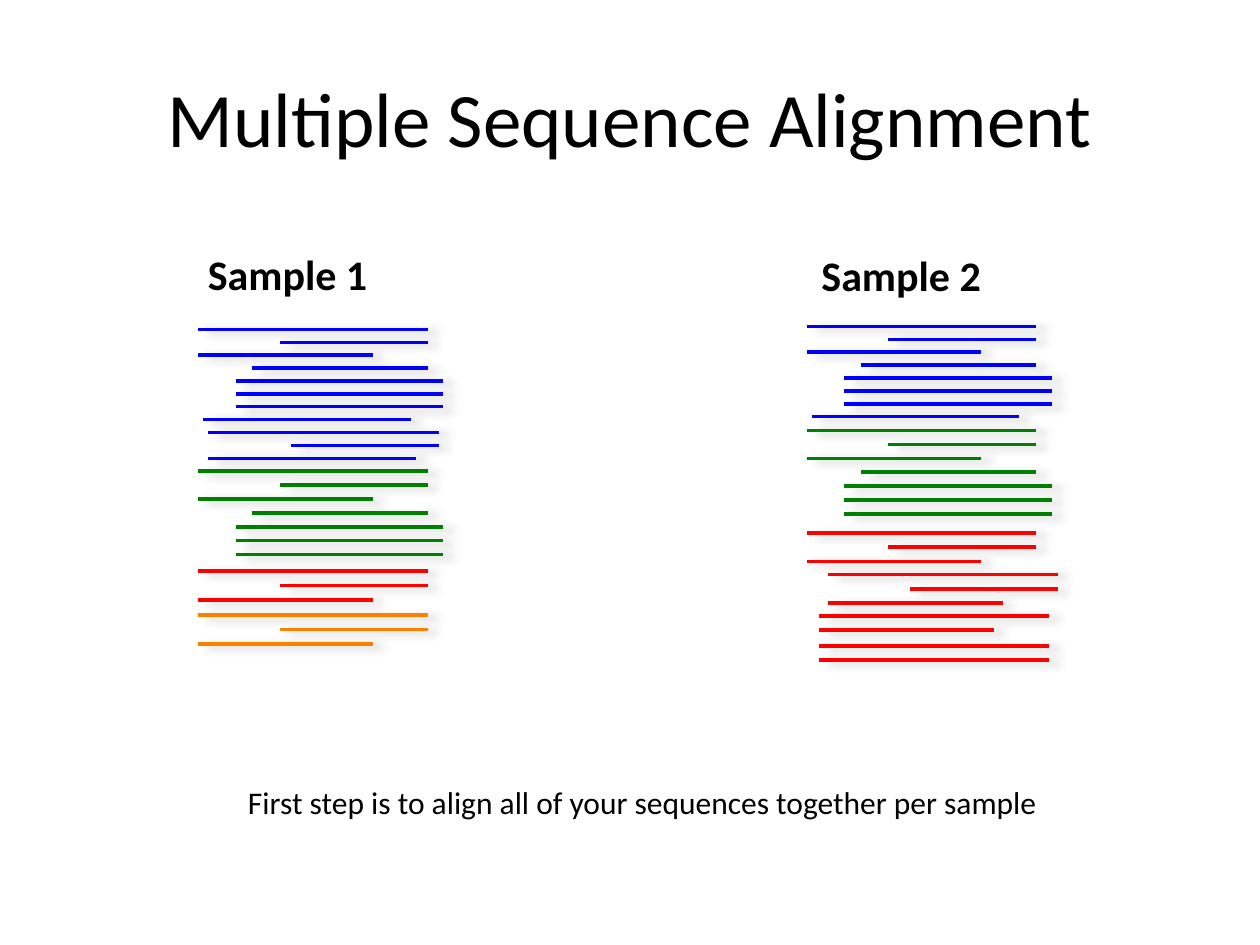
from lxml import etree
from pptx import Presentation
from pptx import util as u
from pptx.dml.color import RGBColor
from pptx.enum import shapes, text
from pptx.oxml.ns import qn

FULL, SHORT, HALF, MID = (0, 4.63), (0, 3.52), (1.65, 2.98), (0.76, 4.19)
TRIO = [FULL, HALF, SHORT]
SEVEN = TRIO + [(1.09, 3.54)] + [MID] * 3
EIGHT = SEVEN + [(0.1, 4.19)]
BLUE, GREEN, RED, ORANGE = "0000FF", "008000", "FF0000", "FF8000"

# left, top, step, colour, reads as (indent, length)
STACKS = [
    (3.99, 6.64, 0.26, BLUE, EIGHT + [(0.2, 4.65), (1.88, 2.97), (0.2, 4.19)]),
    (3.99, 9.5, 0.28, GREEN, SEVEN),
    (3.99, 11.51, 0.29, RED, TRIO),
    (3.99, 12.4, 0.29, ORANGE, TRIO),
    (16.26, 6.58, 0.26, BLUE, EIGHT),
    (16.26, 8.68, 0.28, GREEN, SEVEN),
    (16.26, 10.74, 0.29, RED, TRIO),
    (16.69, 11.58, 0.29, RED, TRIO),
    (16.51, 12.42, 0.28, RED, [FULL, SHORT]),
    (16.51, 13.02, 0.29, RED, [FULL, FULL]),
]


def paint(value):
    """Turn a hex string into a colour."""
    return RGBColor.from_string(value)


def apply(item, form):
    """Set each attribute named in a dict."""
    for key, value in form.items():
        setattr(item, key, value)


def shade(line):
    """Give a line its soft grey shadow."""
    pack = etree.SubElement(line._element.spPr, qn("a:effectLst"))
    cast = etree.SubElement(pack, qn("a:outerShdw"), blurRad="63500",
                            dist="74930", dir="960000", algn="tl", rotWithShape="0")
    tone = etree.SubElement(cast, qn("a:srgbClr"), val="808080")
    etree.SubElement(tone, qn("a:alpha"), val="38000")


def stack(slide, left, top, step, hue, reads):
    """Draw evenly spaced reads in one colour."""
    for row, (indent, length) in enumerate(reads):
        x, y = left + indent, u.Cm(top + row * step)
        line = slide.shapes.add_connector(
            shapes.MSO_CONNECTOR.STRAIGHT, u.Cm(x), y, u.Cm(x + length), y)
        line.line.color.rgb = paint(hue)
        line.line.width = u.Pt(2)
        shade(line)


def write(shape, words, size, bold=False):
    """Fill a shape with one line of black text."""
    para = shape.text_frame.paragraphs[0]
    run = para.add_run()
    run.text = words
    apply(run.font, {"name": "Calibri", "size": u.Pt(size), "bold": bold})
    run.font.color.rgb = paint("000000")
    return para


def label(slide, words, box, size, bold=False):
    """Add a text box that fits its text."""
    shape = slide.shapes.add_textbox(*map(u.Cm, box))
    apply(shape.text_frame, {"word_wrap": False,
                             "auto_size": text.MSO_AUTO_SIZE.SHAPE_TO_FIT_TEXT})
    write(shape, words, size, bold)


def title(slide, words):
    """Place and fill the title."""
    shape = slide.shapes.title
    apply(shape, {"left": u.Cm(1.27), "top": u.Cm(0.76),
                  "width": u.Cm(22.86), "height": u.Cm(3.18)})
    shape.text_frame.vertical_anchor = text.MSO_ANCHOR.MIDDLE
    write(shape, words, 44).alignment = text.PP_ALIGN.CENTER


def main():
    """Build the slide and save it."""
    deck = Presentation()
    apply(deck, {"slide_width": u.Cm(25.4), "slide_height": u.Cm(19.05)})
    slide = deck.slides.add_slide(deck.slide_layouts[5])
    title(slide, "Multiple Sequence Alignment")
    for group in STACKS:
        stack(slide, *group)
    label(slide, "Sample 1", (3.94, 4.88, 4.93, 1.27), 24, True)
    label(slide, "Sample 2", (16.31, 4.9, 4.93, 1.27), 24, True)
    label(slide, "First step is to align all of your sequences together per sample",
          (4.75, 15.67, 16.64, 1.02), 18)
    deck.save("out.pptx")


if __name__ == "__main__":
    main()
